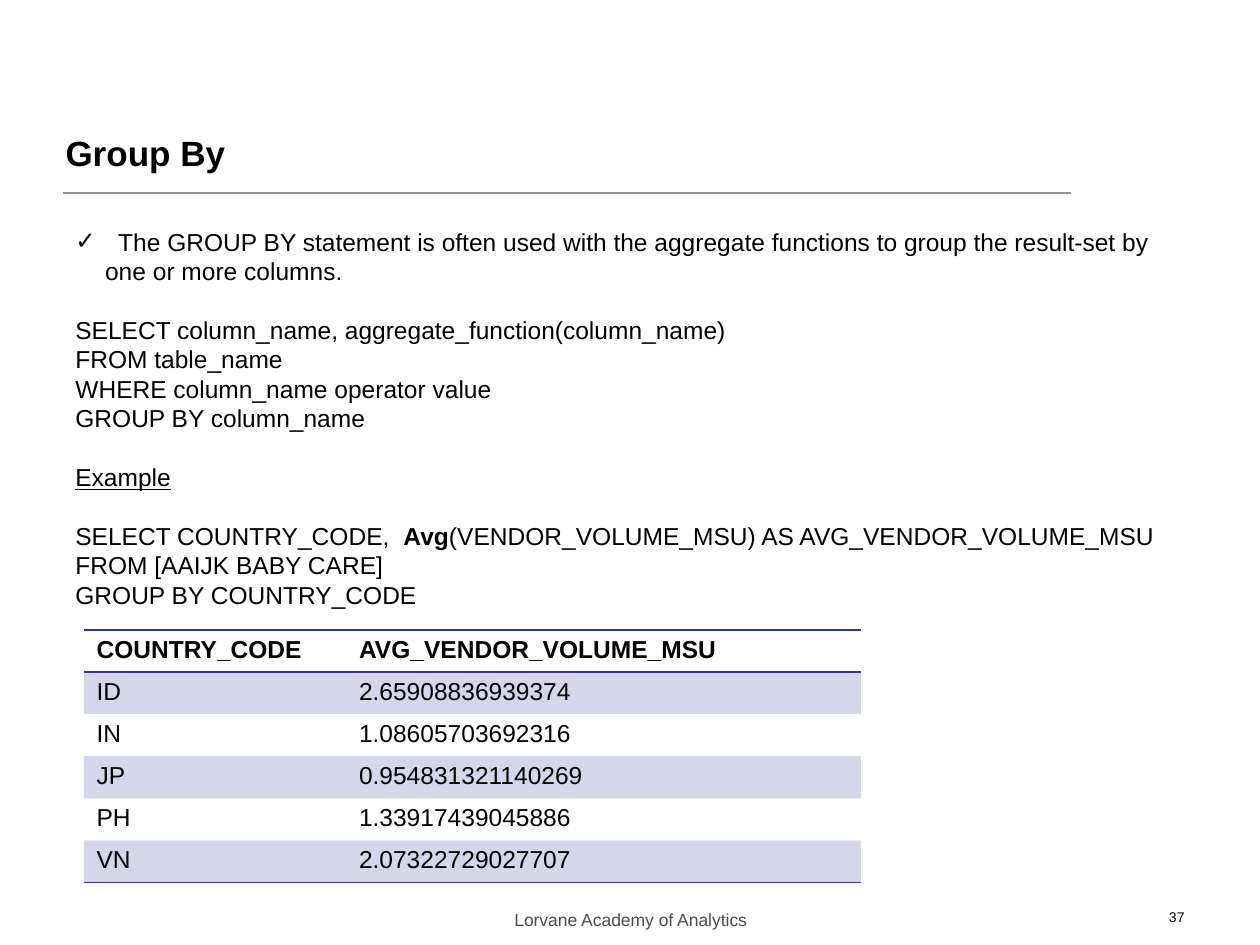
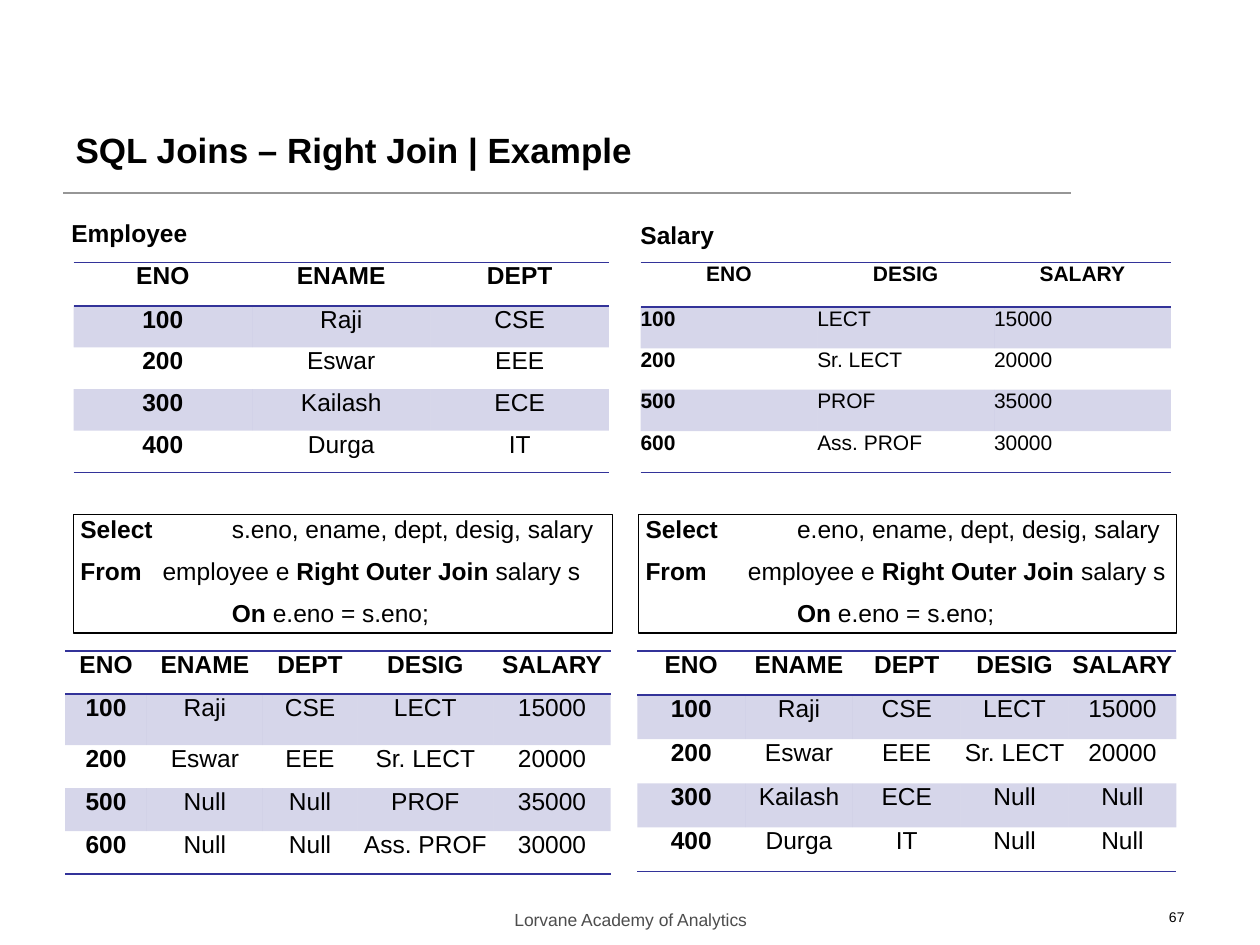
from lxml.etree import SubElement
from pptx import Presentation
from pptx.dml.color import RGBColor
from pptx.enum.shapes import MSO_CONNECTOR, MSO_SHAPE
from pptx.enum.text import MSO_ANCHOR as ANCHOR, PP_ALIGN as ALIGN
from pptx.oxml import parse_xml
from pptx.oxml.ns import nsdecls, qn
from pptx.util import Pt

rgb = RGBColor.from_string
BLACK, GRAY, RULE, NAVY = "000000", "4D4D4D", "969696", "333399"
FONT = "Arial"
NO_STYLE = "{2D5ABB26-0587-4C30-8999-92F81FD0307C}"


def write(tf, paras, size=14, color=BLACK, align=ALIGN.LEFT, inset=(7.2, 3.6), gaps=(), tabs=()):
    tf.word_wrap = True
    tf.margin_left = tf.margin_right = Pt(inset[0])
    tf.margin_top = tf.margin_bottom = Pt(inset[1])
    for i, runs in enumerate(paras):
        p = tf.paragraphs[0] if i == 0 else tf.add_paragraph()
        p.alignment = align
        p.space_before = Pt(gaps[i] if gaps else 0)
        if tabs and tabs[i]:
            tab_list = SubElement(p._p.get_or_add_pPr(), qn("a:tabLst"))
            for pos in tabs[i]:
                SubElement(tab_list, qn("a:tab"), pos=str(Pt(pos)), algn="l")
        for text, style in runs:
            r = p.add_run()
            r.text = text
            r.font.name, r.font.size = FONT, Pt(size)
            r.font.color.rgb = rgb(color)
            r.font.bold = style == "b"
            r.font.underline = style == "u"


def draw_table(slide, left, top, widths, heights, rows, size=14, inset=(0, 0),
               body_align=ALIGN.CENTER, head_align=ALIGN.CENTER, bold_key=True):
    frame = slide.shapes.add_table(len(rows), len(widths), Pt(left), Pt(top),
                                   Pt(sum(widths)), Pt(sum(heights)))
    table = frame.table
    table.horz_banding = False
    table._tbl.tblPr.find(qn("a:tableStyleId")).text = NO_STYLE
    for col, width in zip(table.columns, widths):
        col.width = Pt(width)
    for i, (row, height) in enumerate(zip(rows, heights)):
        table.rows[i].height = Pt(height)
        for j, text in enumerate(row):
            cell = table.cell(i, j)
            cell.margin_left = cell.margin_right = Pt(inset[0])
            cell.margin_top = cell.margin_bottom = Pt(inset[1])
            p = cell.text_frame.paragraphs[0]
            p.alignment = body_align if i else head_align
            r = p.add_run()
            r.text = text
            r.font.name, r.font.size = FONT, Pt(size)
            r.font.bold = i == 0 or (bold_key and j == 0)
            r.font.color.rgb = rgb(BLACK)
            tcPr = cell._tc.get_or_add_tcPr()
            if i % 2:
                cell.fill.solid()
                cell.fill.fore_color.rgb = rgb(NAVY)
                SubElement(tcPr.find(qn("a:solidFill"))[0], qn("a:alpha"), val="20000")
            else:
                cell.fill.background()
            edges = {0: ["lnT", "lnB"], len(rows) - 1: ["lnB"]}.get(i, [])
            for k, edge in enumerate(edges):
                tcPr.insert(k, parse_xml(
                    f'<a:{edge} {nsdecls("a")} w="12700"><a:solidFill>'
                    f'<a:srgbClr val="{NAVY}"/></a:solidFill></a:{edge}>'))


prs = Presentation()
prs.slide_width, prs.slide_height = Pt(720), Pt(540)

pages = [
    ("Group By", "37", (30.24, 64.8, 216, 44.64)),
    ("SQL Joins – Right Join | Example", "67", (36, 61.2, 540, 48.24)),
]
slides = []
for title, number, box in pages:
    s = prs.slides.add_slide(prs.slide_layouts[5])
    sp = s.shapes.title
    sp.left, sp.top, sp.width, sp.height = map(Pt, box)
    sp.text_frame.vertical_anchor = ANCHOR.MIDDLE
    write(sp.text_frame, [[(title, "b")]], size=20)

    rule = s.shapes.add_connector(MSO_CONNECTOR.STRAIGHT, Pt(36), Pt(110.3), Pt(612), Pt(110.3))
    rule.line.color.rgb = rgb(RULE)
    rule.line.width = Pt(0.75)
    SubElement(rule._element.spPr, qn("a:effectLst"))

    footers = [
        ("Lorvane Academy of Analytics", 246.24, 228.24, 10, GRAY, ALIGN.CENTER),
        (number, 516.24, 167.76, 8, BLACK, ALIGN.RIGHT),
    ]
    for text, left, width, size, color, align in footers:
        sp = s.shapes.add_textbox(Pt(left), Pt(515.7), Pt(width), Pt(18))
        write(sp.text_frame, [[(text, "")]], size, color, align)
    slides.append(s)

group_by, right_join = slides

sp = group_by.shapes.add_textbox(Pt(36), Pt(126), Pt(648), Pt(227.5))
statement = [
    [("\tThe GROUP BY statement is often used with the aggregate functions "
      "to group the result-set by one or more columns.", "")],
    [("SELECT column_name, aggregate_function(column_name)", "")],
    [("FROM table_name", "")],
    [("WHERE column_name operator value", "")],
    [("GROUP BY column_name", "")],
    [("Example", "u")],
    [("SELECT COUNTRY_CODE,  ", ""), ("Avg", "b"),
     ("(VENDOR_VOLUME_MSU) AS AVG_VENDOR_VOLUME_MSU", "")],
    [("FROM [AAIJK BABY CARE]", "")],
    [("GROUP BY COUNTRY_CODE", "")],
]
LINE = 16.8
write(sp.text_frame, statement, gaps=(0, LINE, 0, 0, 0, LINE, LINE, 0, 0),
      tabs=[(7.5, 24.5)] + [()] * 8)
pPr = sp.text_frame.paragraphs[0]._p.get_or_add_pPr()
pPr.set("marL", str(Pt(17)))
pPr.set("indent", str(Pt(-17)))
tab_list = pPr.find(qn("a:tabLst"))
tab_list.addprevious(parse_xml(f'<a:buFont {nsdecls("a")} typeface="{FONT}"/>'))
tab_list.addprevious(parse_xml(f'<a:buChar {nsdecls("a")} char="✓"/>'))

averages = [
    ("COUNTRY_CODE", "AVG_VENDOR_VOLUME_MSU"),
    ("ID", "2.65908836939374"),
    ("IN", "1.08605703692316"),
    ("JP", "0.954831321140269"),
    ("PH", "1.33917439045886"),
    ("VN", "2.07322729027707"),
]
draw_table(group_by, 48, 360, [150, 294], [24] * 6, averages, inset=(7.2, 3.6),
           body_align=ALIGN.LEFT, head_align=ALIGN.LEFT, bold_key=False)

for label, left, top in [("Employee", 40.8, 124.6), ("Salary", 366, 126)]:
    sp = right_join.shapes.add_textbox(Pt(left), Pt(top), Pt(100.8), Pt(17.3))
    write(sp.text_frame, [[(label, "b")]], inset=(0, 0))

employee = [
    ("ENO", "ENAME", "DEPT"),
    ("100", "Raji", "CSE"),
    ("200", "Eswar", "EEE"),
    ("300", "Kailash", "ECE"),
    ("400", "Durga", "IT"),
]
salary = [
    ("ENO", "DESIG", "SALARY"),
    ("100", "LECT", "15000"),
    ("200", "Sr. LECT", "20000"),
    ("500", "PROF", "35000"),
    ("600", "Ass. PROF", "30000"),
]
draw_table(right_join, 42, 150, [102] * 3, [24.8] + [23.8] * 4, employee)
draw_table(right_join, 366, 150, [101] * 3, [25.4] + [23.65] * 4, salary,
           size=12, body_align=ALIGN.LEFT)

queries = [("s.eno", 42, 308.2, 47), ("e.eno", 365, 307.4, 58.5)]
for key, left, width, from_tab in queries:
    sp = right_join.shapes.add_shape(MSO_SHAPE.RECTANGLE, Pt(left), Pt(294), Pt(width), Pt(67.7))
    sp.shadow.inherit = False
    sp.fill.background()
    sp.line.color.rgb = rgb(BLACK)
    sp.line.width = Pt(0.75)
    sp.text_frame.vertical_anchor = ANCHOR.TOP
    query = [
        [("Select", "b"), (f"\t{key}, ename, dept, desig, salary", "")],
        [("From", "b"), ("\temployee e ", ""), ("Right Outer Join ", "b"), ("salary s", "")],
        [("\t", ""), ("On ", "b"), ("e.eno = s.eno;", "")],
    ]
    write(sp.text_frame, query, inset=(3.9, 0), gaps=(0, 7, 7),
          tabs=[(86.6,), (from_tab,), (86.6,)])

NULLS = ("Null", "Null")
header = employee[0] + salary[0][1:]
pay = {row[0]: row[1:] for row in salary}
staff = {row[0]: row[1:] for row in employee}
salary_side = [header] + [(row[0], *staff.get(row[0], NULLS), *row[1:]) for row in salary[1:]]
employee_side = [header] + [(*row, *pay.get(row[0], NULLS)) for row in employee[1:]]
draw_table(right_join, 37.2, 372, [46.8, 66.2, 54, 77.8, 67],
           [24.6, 29.2, 24.6, 24.6, 24.6], salary_side)
draw_table(right_join, 364.2, 372, [61.6] * 5, [25.2] * 5, employee_side)

prs.save("out.pptx")
